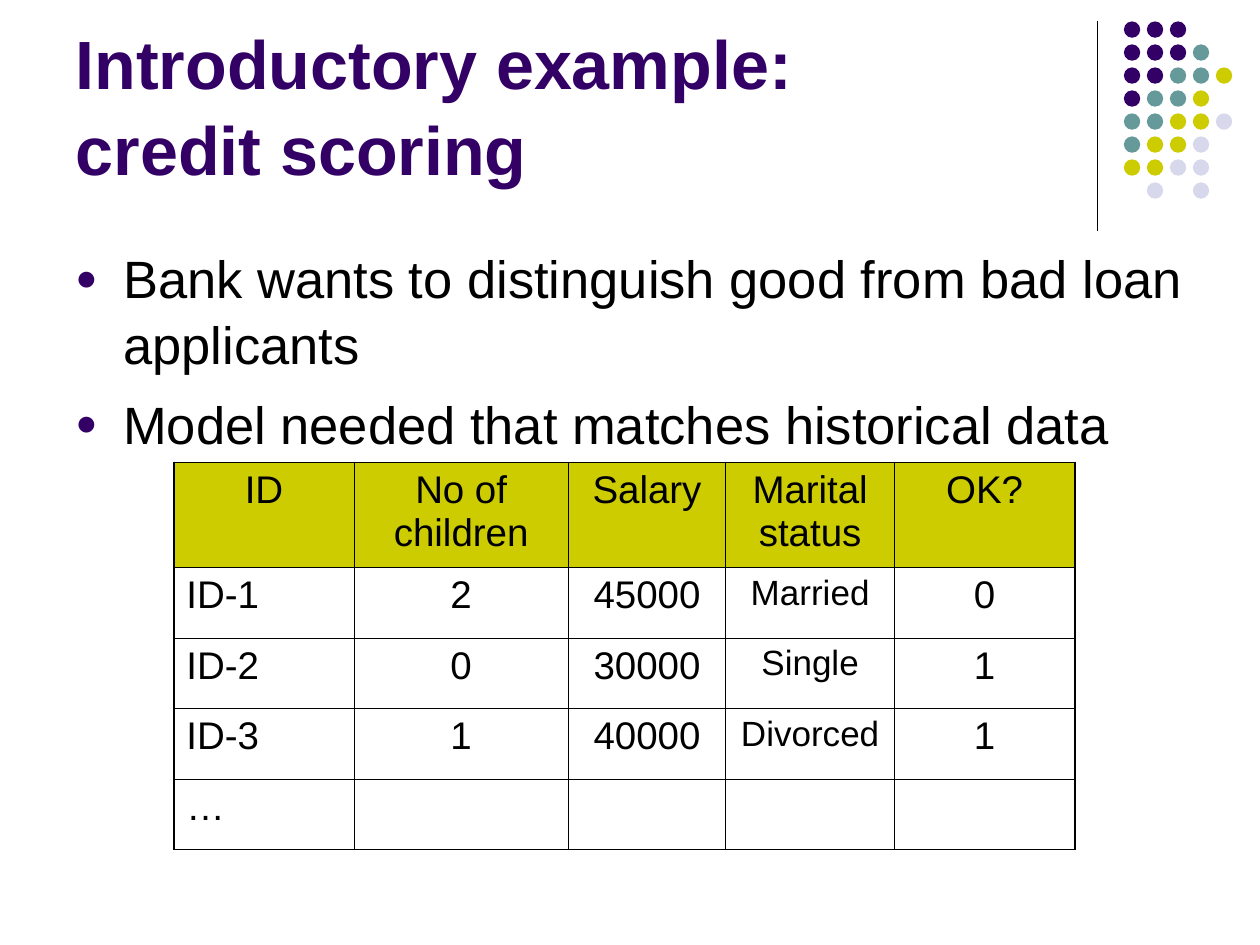
from lxml.etree import SubElement
from pptx import Presentation
from pptx.dml.color import RGBColor
from pptx.enum.shapes import MSO_CONNECTOR, MSO_SHAPE
from pptx.enum.text import MSO_ANCHOR, MSO_AUTO_SIZE, PP_ALIGN
from pptx.oxml.ns import qn
from pptx.util import Inches, Pt

PURPLE, TEAL, OLIVE, LILAC, BLACK = "330066", "669999", "CCCC00", "D8D8EC", "000000"
DOT_COLORS = {"P": PURPLE, "T": TEAL, "O": OLIVE, "L": LILAC}
DOT_ROWS = ["PPP", "PPPT", "PPTTO", "PTTO", "TTOOL", "TOOL", "OOLL", " L L"]
TABLE_ROWS = [
    ["ID", "No of children", "Salary", "Marital status", "OK?"],
    ["ID-1", "2", "45000", "Married", "0"],
    ["ID-2", "0", "30000", "Single", "1"],
    ["ID-3", "1", "40000", "Divorced", "1"],
    ["…", "", "", "", ""],
]
COL_WIDTHS = [1.43, 1.7, 1.25, 1.34, 1.43]
ROW_HEIGHTS = [0.83] + [0.56] * 4
MARITAL_COL = 3


def rgb(color):
    return RGBColor.from_string(color)


class SlideBuilder:
    font = "Arial"

    def __init__(self, slide):
        self.slide = slide
        self.shapes = slide.shapes

    def run(self, p, text, size, color=BLACK, bold=False):
        r = p.add_run()
        r.text = text
        r.font.name = self.font
        r.font.size = Pt(size)
        r.font.bold = bold
        r.font.color.rgb = rgb(color)

    def title(self, lines, left, top, width, height):
        sp = self.shapes.title
        sp.left, sp.top = Inches(left), Inches(top)
        sp.width, sp.height = Inches(width), Inches(height)
        tf = sp.text_frame
        tf.auto_size = MSO_AUTO_SIZE.NONE
        tf.vertical_anchor = MSO_ANCHOR.BOTTOM
        p = tf.paragraphs[0]
        p.alignment = PP_ALIGN.LEFT
        p.line_spacing = 1.05
        for i, line in enumerate(lines):
            if i:
                p.add_line_break()
            self.run(p, line, 39, PURPLE, True)

    def bullets(self, items, left, top, width, height):
        sp = self.shapes.add_textbox(Inches(left), Inches(top), Inches(width), Inches(height))
        tf = sp.text_frame
        tf.word_wrap = True
        for i, item in enumerate(items):
            p = tf.add_paragraph() if i else tf.paragraphs[0]
            p.space_before = Pt(7.5)
            p.line_spacing = 1.05
            pPr = p._p.get_or_add_pPr()
            pPr.set("marL", str(Inches(0.38)))
            pPr.set("indent", str(-Inches(0.38)))
            SubElement(SubElement(pPr, qn("a:buClr")), qn("a:srgbClr"), val=PURPLE)
            SubElement(pPr, qn("a:buSzPct"), val="70000")
            SubElement(pPr, qn("a:buFont"), typeface=self.font)
            SubElement(pPr, qn("a:buChar"), char="●")
            self.run(p, item, 30)

    def line(self, x1, y1, x2, y2):
        cxn = self.shapes.add_connector(
            MSO_CONNECTOR.STRAIGHT, Inches(x1), Inches(y1), Inches(x2), Inches(y2))
        cxn.line.color.rgb = rgb(BLACK)
        cxn.line.width = Pt(0.75)
        SubElement(cxn._element.spPr, qn("a:effectLst"))

    def dots(self, rows, left, top, pitch, size):
        group = self.shapes.add_group_shape()
        for i, row in enumerate(rows):
            for j, key in enumerate(row):
                if key == " ":
                    continue
                sp = group.shapes.add_shape(
                    MSO_SHAPE.OVAL, Inches(left + j * pitch), Inches(top + i * pitch),
                    Inches(size), Inches(size))
                sp.shadow.inherit = False
                sp.fill.solid()
                sp.fill.fore_color.rgb = rgb(DOT_COLORS[key])
                sp.line.fill.background()

    def borders(self, cell, widths):
        tcPr = cell._tc.get_or_add_tcPr()
        for side, width in widths.items():
            ln = SubElement(tcPr, qn(f"a:ln{side}"), w=str(Pt(width)))
            SubElement(SubElement(ln, qn("a:solidFill")), qn("a:srgbClr"), val=BLACK)

    def table(self, rows, left, top, col_widths, row_heights):
        last_row, last_col = len(rows) - 1, len(col_widths) - 1
        frame = self.shapes.add_table(
            len(rows), len(col_widths), Inches(left), Inches(top),
            Inches(sum(col_widths)), Inches(sum(row_heights)))
        table = frame.table
        table.first_row = table.horz_banding = False
        for col, width in zip(table.columns, col_widths):
            col.width = Inches(width)
        for row, height in zip(table.rows, row_heights):
            row.height = Inches(height)
        for i, row in enumerate(rows):
            for j, text in enumerate(row):
                cell = table.cell(i, j)
                outer = {"L": j == 0, "R": j == last_col, "T": i == 0, "B": i == last_row}
                self.borders(cell, {s: 1.08 if edge else 0.45 for s, edge in outer.items()})
                if i == 0:
                    cell.fill.solid()
                    cell.fill.fore_color.rgb = rgb(OLIVE)
                else:
                    cell.fill.background()
                if not text:
                    continue
                size = 20 if i and j == MARITAL_COL else 22
                p = cell.text_frame.paragraphs[0]
                p.alignment = PP_ALIGN.LEFT if i and j == 0 else PP_ALIGN.CENTER
                p.space_before = Pt(size / 4)
                self.run(p, text, size)


def main():
    prs = Presentation()
    prs.slide_width, prs.slide_height = Inches(10), Inches(7.5)
    s = SlideBuilder(prs.slides.add_slide(prs.slide_layouts[5]))
    s.line(8.71, 0.17, 8.71, 1.83)
    s.dots(DOT_ROWS, 8.92, 0.17, (9.65 - 8.92) / 4, 0.13)
    s.title(["Introductory example:", "credit scoring"], 0.5, 0.13, 8.25, 1.42)
    s.bullets(["Bank wants to distinguish good from bad loan applicants",
               "Model needed that matches historical data"], 0.5, 1.88, 9, 4.82)
    s.table(TABLE_ROWS, 1.38, 3.67, COL_WIDTHS, ROW_HEIGHTS)
    prs.save("out.pptx")


if __name__ == "__main__":
    main()
